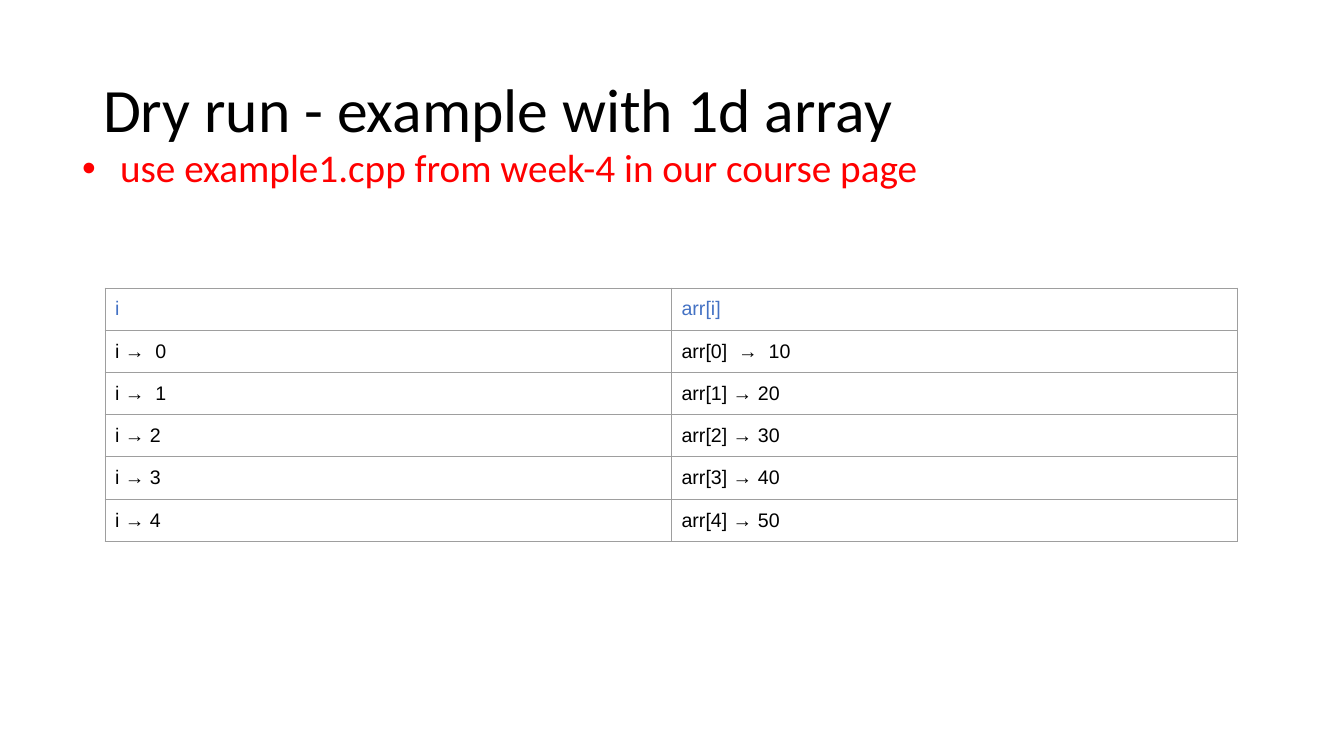
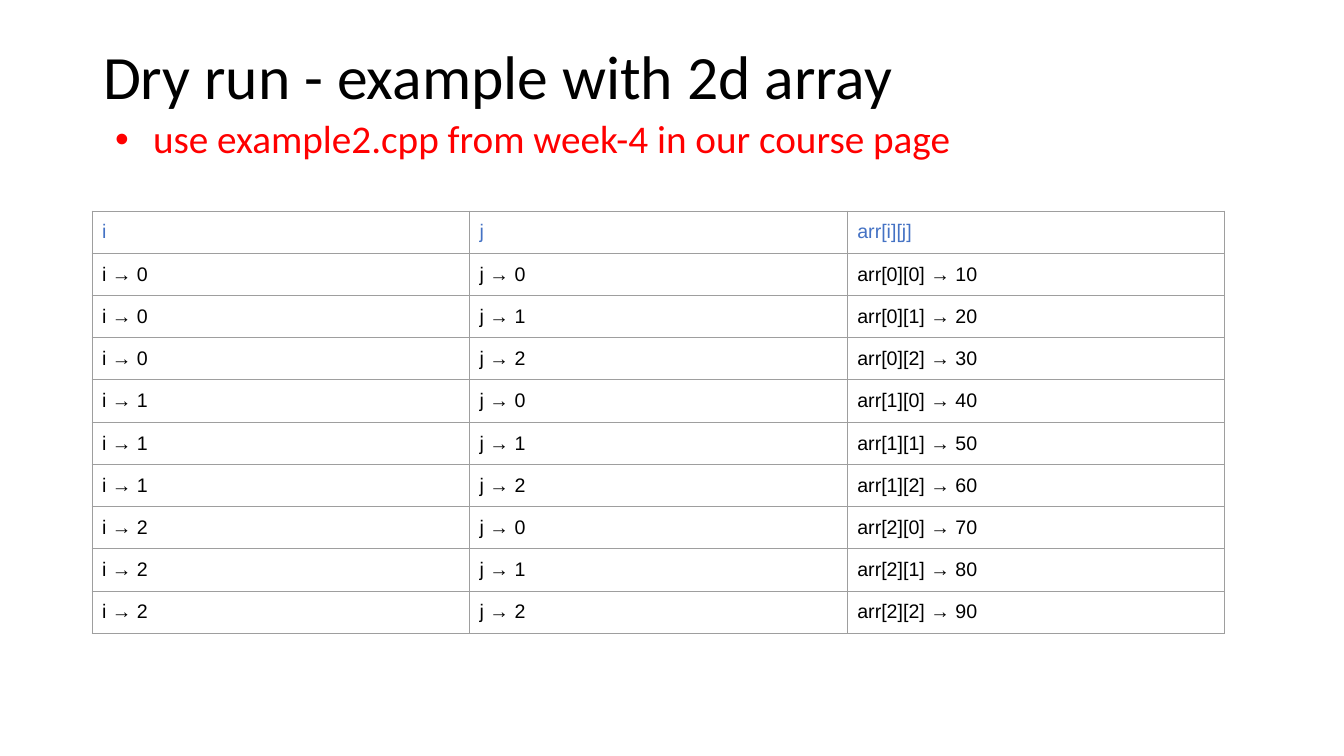
from itertools import product

from lxml import etree
from pptx import Presentation, util as u
from pptx.dml.color import RGBColor
from pptx.enum import text
from pptx.oxml import ns

COLORS = {"title": "000000", "note": "FF0000", "header": "4472C4",
          "value": "000000", "grid": "9E9E9E"}
PX = 914400 / 100.8
SLIDE_SIZE = (1344, 756)
TEXT_SIZE = {"title": (1159, 146), "note": (1159, 480)}
TABLE_WIDTH = 1133
ROW_HEIGHT_TENTHS = 422
CELL_MARGIN = u.Pt(7.2)

ROWS_1D = [
    ("i", "arr[i]"),
    ("i →  0", "arr[0]  →  10"),
    ("i →  1", "arr[1] → 20"),
    ("i → 2", "arr[2] → 30"),
    ("i → 3", "arr[3] → 40"),
    ("i → 4", "arr[4] → 50"),
]
ROWS_2D = [("i", "j", "arr[i][j]")] + [
    (f"i → {i}", f"j → {j}", f"arr[{i}][{j}] → {10 * (3 * i + j + 1)}")
    for i, j in product(range(3), repeat=2)
]
DRY_RUNS = [
    {"title": "Dry run - example with 1d array", "title_at": (93, 40),
     "note": "use example1.cpp from week-4 in our course page", "note_at": (60, 144),
     "rows": ROWS_1D, "table_at": (105, 288)},
    {"title": "Dry run - example with 2d array", "title_at": (93, 7),
     "note": "use example2.cpp from week-4 in our course page", "note_at": (93, 115),
     "rows": ROWS_2D, "table_at": (92, 211)},
]


def px(*lengths):
    return [u.Emu(round(length * PX)) for length in lengths]


def set_font(paragraph, name, size, color):
    font = paragraph.font
    font.name, font.size, font.bold = name, u.Pt(size), False
    font.color.rgb = RGBColor.from_string(COLORS[color])


def add_bullet(paragraph):
    """Give the paragraph a red bullet with a hanging indent."""
    props = paragraph._p.get_or_add_pPr()
    left, hanging = px(50, 38)
    props.set("marL", str(left))
    props.set("indent", str(-hanging))
    bullet_color = etree.SubElement(props, ns.qn("a:buClr"))
    etree.SubElement(bullet_color, ns.qn("a:srgbClr"), val=COLORS["note"])
    etree.SubElement(props, ns.qn("a:buFont"), typeface="Arial")
    etree.SubElement(props, ns.qn("a:buChar"), char="•")


def fill_placeholder(holder, wording, at, part, size, anchor, space_before):
    holder.left, holder.top, holder.width, holder.height = px(*at, *TEXT_SIZE[part])
    frame = holder.text_frame
    frame.text = wording
    frame.auto_size = text.MSO_AUTO_SIZE.NONE
    frame.vertical_anchor = anchor
    paragraph = frame.paragraphs[0]
    paragraph.alignment = text.PP_ALIGN.LEFT
    paragraph.line_spacing = 0.9
    paragraph.space_before = u.Pt(space_before)
    if part == "note":
        add_bullet(paragraph)
    set_font(paragraph, "Calibri", size, part)


def draw_borders(cell):
    props = cell._tc.get_or_add_tcPr()
    for side in ("lnL", "lnR", "lnT", "lnB"):
        line = etree.SubElement(props, ns.qn(f"a:{side}"), w=str(u.Pt(0.75)))
        fill = etree.SubElement(line, ns.qn("a:solidFill"))
        etree.SubElement(fill, ns.qn("a:srgbClr"), val=COLORS["grid"])


def add_trace(slide, rows, at):
    """Add the table of index and array values, with its header row first."""
    height = len(rows) * ROW_HEIGHT_TENTHS / 10
    table = slide.shapes.add_table(len(rows), len(rows[0]),
                                   *px(*at, TABLE_WIDTH, height)).table
    table.first_row = table.horz_banding = False
    for r, row in enumerate(rows):
        for c, wording in enumerate(row):
            cell = table.cell(r, c)
            cell.text = wording
            cell.margin_left = cell.margin_right = CELL_MARGIN
            cell.margin_top = cell.margin_bottom = CELL_MARGIN
            draw_borders(cell)
            cell.fill.background()
            set_font(cell.text_frame.paragraphs[0], "Arial", 14,
                     "value" if r else "header")


def main():
    deck = Presentation()
    deck.slide_width, deck.slide_height = px(*SLIDE_SIZE)
    for run in DRY_RUNS:
        slide = deck.slides.add_slide(deck.slide_layouts[1])
        fill_placeholder(slide.shapes.title, run["title"], run["title_at"],
                         "title", 44, text.MSO_ANCHOR.MIDDLE, 0)
        fill_placeholder(slide.placeholders[1], run["note"], run["note_at"],
                         "note", 28, text.MSO_ANCHOR.TOP, 10)
        add_trace(slide, run["rows"], run["table_at"])
    deck.save("out.pptx")


if __name__ == "__main__":
    main()
